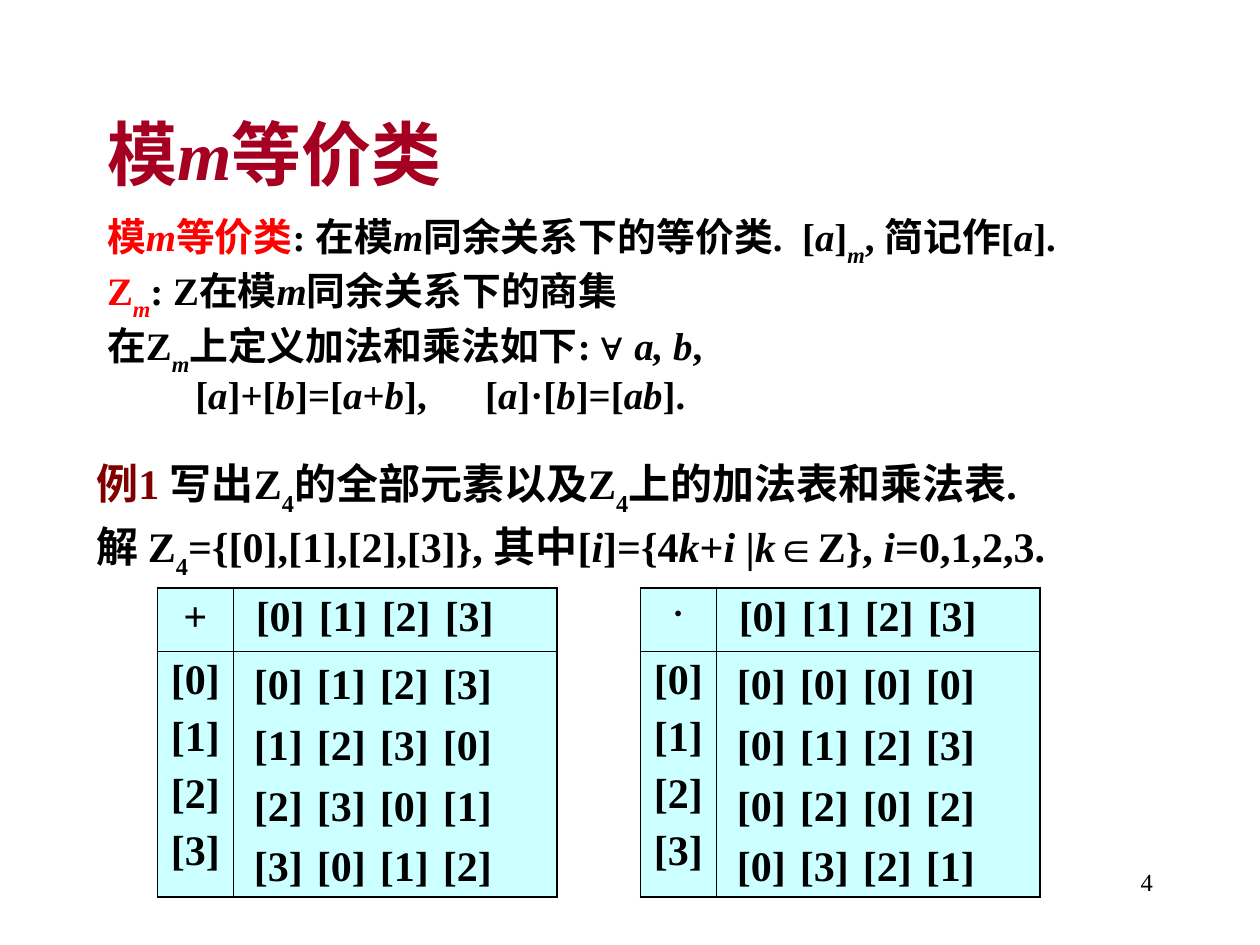
"""Build the slide on equivalence classes modulo m."""
from dataclasses import dataclass
from typing import NamedTuple

from lxml import etree
from pptx import Presentation
from pptx.dml.color import RGBColor
from pptx.enum.text import MSO_ANCHOR, MSO_AUTO_SIZE, PP_ALIGN
from pptx.oxml.ns import qn
from pptx.util import Inches, Pt

LEFT, MID, RIGHT, JUST = PP_ALIGN.LEFT, PP_ALIGN.CENTER, PP_ALIGN.RIGHT, PP_ALIGN.JUSTIFY
TOP, CENTRE = MSO_ANCHOR.TOP, MSO_ANCHOR.MIDDLE
FIXED = MSO_AUTO_SIZE.NONE
HEX = {"ink": "000000", "title": "A50021", "red": "FF0000", "brown": "800000", "cell": "CCFFFF"}
SERIF, SANS = "Times New Roman", "Arial"
UNIT = Inches(1) // 12
PITCH = 0.556
STOPS = tuple(PITCH * n for n in (1, 2, 3))
THICK, THIN = 1.08, 0.45
HEADS = [f"[{n}]" for n in range(4)]


class Run(NamedTuple):
    """A piece of text with its own look."""
    text: str
    slant: bool = False
    sub: bool = False
    tone: str = "ink"
    font: str = SERIF


class Area(NamedTuple):
    """A place on the grid of twelfths of an inch."""
    col: float
    row: float
    wide: float
    high: float


@dataclass
class Para:
    """A paragraph of runs with its layout."""
    runs: list[Run]
    size: float = 24
    align: PP_ALIGN = LEFT
    gap: float = 6
    line: float | None = None
    margin: float = 0
    indent: float = 0
    tabs: tuple[float, ...] = ()
    bold: bool = True


@dataclass
class Chart:
    """An operation table with its sign, its place and its values."""
    sign: Para
    col: float
    wide: float
    rows: list[list[int]]


def it(text: str, sub: bool = False, tone: str = "ink") -> Run:
    """Return an italic run."""
    return Run(text, True, sub, tone)


def low(text: str) -> Run:
    """Return an upright subscript."""
    return Run(text, sub=True)


def write(frame, paras: list[Para]) -> None:
    """Write paragraphs run by run into a text frame."""
    for n, item in enumerate(paras):
        para = frame.add_paragraph() if n else frame.paragraphs[0]
        para.alignment = item.align
        para.space_before = Pt(item.gap)
        if item.line:
            para.line_spacing = item.line
        props = para._p.get_or_add_pPr()
        props.set("marL", str(Inches(item.margin)))
        props.set("indent", str(Inches(item.indent)))
        etree.SubElement(props, qn("a:buNone"))
        if item.tabs:
            stops = etree.SubElement(props, qn("a:tabLst"))
            for stop in item.tabs:
                etree.SubElement(stops, qn("a:tab"), pos=str(Inches(stop)), algn="l")
        for part in item.runs:
            run = para.add_run()
            run.text = part.text
            font = run.font
            font.name, font.size = part.font, Pt(item.size)
            font.bold, font.italic = item.bold, part.slant
            font.color.rgb = RGBColor.from_string(HEX[part.tone])
            if part.sub:
                run._r.get_or_add_rPr().set("baseline", "-30000")


def place(shape, area: Area) -> None:
    """Move a shape to its grid area."""
    shape.left, shape.top, shape.width, shape.height = (round(n * UNIT) for n in area)


def fill(shape, area: Area, paras: list[Para], anchor: MSO_ANCHOR = TOP) -> None:
    """Place a text shape and write into it."""
    place(shape, area)
    frame = shape.text_frame
    frame.word_wrap, frame.auto_size = True, FIXED
    frame.vertical_anchor = anchor
    write(frame, paras)


def box(slide, area: Area, paras: list[Para]) -> None:
    """Add a text box."""
    fill(slide.shapes.add_textbox(0, 0, UNIT, UNIT), area, paras)


def edge(cell, row: int, col: int) -> None:
    """Draw thick outer and thin inner borders, then the fill."""
    cell.fill.solid()
    cell.fill.fore_color.rgb = RGBColor.from_string(HEX["cell"])
    props = cell._tc.get_or_add_tcPr()
    outer = {"L": col == 0, "R": col == 1, "T": row == 0, "B": row == 1}
    for spot, (side, thick) in enumerate(outer.items()):
        line = etree.Element(qn(f"a:ln{side}"), w=str(Pt(THICK if thick else THIN)))
        paint = etree.SubElement(line, qn("a:solidFill"))
        etree.SubElement(paint, qn("a:srgbClr"), val=HEX["ink"])
        props.insert(spot, line)


def grid(slide, chart: Chart) -> None:
    """Add an operation table and the values over its large cell."""
    frame = slide.shapes.add_table(2, 2, 0, 0, UNIT, UNIT)
    place(frame, Area(chart.col, 56, 38, 29.4))
    table = frame.table
    table.first_row = table.horz_banding = False
    for n, (wide, high) in enumerate(((0.6, 0.5), (2.57, 1.95))):
        table.columns[n].width, table.rows[n].height = Inches(wide), Inches(high)
    for row in range(2):
        for col in range(2):
            edge(table.cell(row, col), row, col)
    write(table.cell(0, 0).text_frame, [chart.sign])
    table.cell(0, 1).margin_left = Inches(0.18)
    write(table.cell(0, 1).text_frame, [Para([Run("\t".join(HEADS))], tabs=STOPS)])
    write(table.cell(1, 0).text_frame, [Para([Run(head)], align=MID) for head in HEADS])
    lines = ["\t".join(HEADS[n] for n in row) for row in chart.rows]
    box(slide, Area(chart.col + 8, 62, chart.wide, 23.4),
        [Para([Run(line)], tabs=STOPS) for line in lines])


def main() -> None:
    """Build and save the slide."""
    deck = Presentation()
    deck.slide_width, deck.slide_height = 120 * UNIT, 90 * UNIT
    slide = deck.slides.add_slide(deck.slide_layouts[1])
    title, body = slide.placeholders
    box(slide, Area(86, 82, 25, 6), [Para([Run("4")], 14, RIGHT, 0, bold=False)])
    name = [Run("模", tone="title"), it("m", tone="title"), Run("等价类", tone="title")]
    fill(title, Area(9, 8, 102, 13), [Para(name, 40, gap=0)], CENTRE)
    terms = [
        [Run("模", tone="red"), it("m", tone="red"), Run("等价类", tone="red"), Run(": 在模"),
         it("m"), Run("同余关系下的等价类.  ["), it("a"), Run("]"), it("m", True),
         Run(", 简记作["), it("a"), Run("].")],
        [Run("Z", tone="red"), it("m", True, "red"), Run(": Z在模"), it("m"), Run("同余关系下的商集")],
        [Run("在Z"), it("m", True), Run("上定义加法和乘法如下: "), Run("∀ ", font=SANS),
         it("a, b"), Run(",")],
    ]
    rules = [Run("["), it("a"), Run("]+["), it("b"), Run("]=["), it("a"), Run("+"), it("b"),
             Run("],\t["), it("a"), Run("]·["), it("b"), Run("]=["), it("ab"), Run("].")]
    paras = [Para(runs, 22.2, JUST, line=0.8, margin=0.38, indent=-0.38) for runs in terms]
    paras.append(Para(rules, 22.2, line=0.8, indent=0.7, tabs=(2.92,)))
    fill(body, Area(9, 20, 102, 23), paras)
    plus = [[(a + b) % 4 for b in range(4)] for a in range(4)]
    times = [[a * b % 4 for b in range(4)] for a in range(4)]
    grid(slide, Chart(Para([Run("+")], align=MID), 15, 29, plus))
    grid(slide, Chart(Para([Run("·")], 20, MID, 5), 61, 32, times))
    box(slide, Area(8, 43, 104, 6.8), [Para([
        Run("例1 ", tone="brown"), Run("写出Z"), low("4"), Run("的全部元素以及Z"), low("4"),
        Run("上的加法表和乘法表.")])])
    box(slide, Area(8, 49, 99, 6.8), [Para([
        Run("解 Z"), low("4"), Run("={[0],[1],[2],[3]}, 其中["), it("i"), Run("]={4"), it("k"),
        Run("+"), it("i "), Run("|"), it("k"), Run("∈Z}, "), it("i"), Run("=0,1,2,3.")], gap=15)])
    deck.save("out.pptx")


if __name__ == "__main__":
    main()
